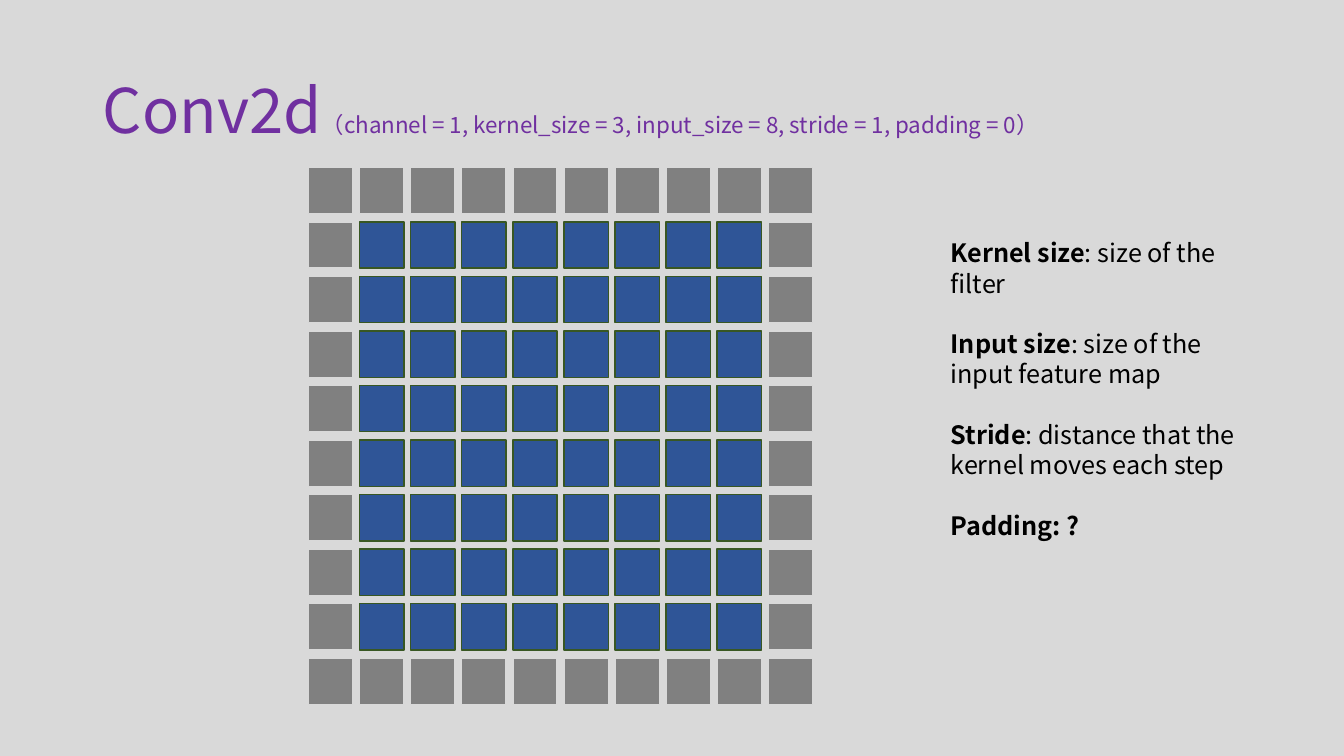
from dataclasses import dataclass
from itertools import product

from pptx import Presentation
from pptx.dml.color import RGBColor
from pptx.enum.shapes import MSO_SHAPE as Shape
from pptx.enum.text import MSO_ANCHOR as Anchor, MSO_AUTO_SIZE as AutoSize, PP_ALIGN as Align
from pptx.util import Inches, Pt


@dataclass(frozen=True)
class Theme:
    font: str = "Noto Sans CJK SC"
    background: str = "D9D9D9"
    title: str = "7030A0"
    body: str = "000000"
    input_fill: str = "2F5597"
    input_line: str = "385723"
    padding_fill: str = "808080"
    title_size: int = 44
    subtitle_size: int = 16
    body_size: int = 18
    term_gap: float = 21.6


THEME = Theme()
INPUT_SIZE = 8
TERMS = [
    ("Kernel size", ": size of the filter"),
    ("Input size", ": size of the input feature map"),
    ("Stride", ": distance that the kernel moves each step"),
    ("Padding: ?", ""),
]


def colour(code):
    return RGBColor.from_string(code)


def add_span(para, text, size, code, bold=False):
    span = para.add_run()
    span.text = text
    span.font.name = THEME.font
    span.font.size = Pt(size)
    span.font.bold = bold
    span.font.color.rgb = colour(code)


def place_title(page, left, top, width, height):
    title = page.shapes.title
    title.left, title.top = Inches(left), Inches(top)
    title.width, title.height = Inches(width), Inches(height)
    frame = title.text_frame
    frame.vertical_anchor = Anchor.MIDDLE
    para = frame.paragraphs[0]
    para.alignment = Align.LEFT
    para.line_spacing = 0.9
    add_span(para, "Conv2d", THEME.title_size, THEME.title)
    add_span(para, "（channel = 1, kernel_size = 3, input_size = 8, stride = 1, padding = 0）",
             THEME.subtitle_size, THEME.title)


def add_cell(page, left, top, width, height, fill, line):
    cell = page.shapes.add_shape(Shape.RECTANGLE, Inches(left), Inches(top),
                                 Inches(width), Inches(height))
    cell.shadow.inherit = False
    cell.fill.solid()
    cell.fill.fore_color.rgb = colour(fill)
    cell.line.color.rgb = colour(line)
    cell.line.width = Pt(1)


def add_feature_map(page, left, top, width, height):
    """Draw the input grid with a ring of padding cells around it."""
    cell_width, cell_height = 0.44, 0.46
    last = INPUT_SIZE + 1
    step_x = (width - cell_width) / last
    step_y = (height - cell_height) / last
    for row, column in product(range(last + 1), repeat=2):
        if row in (0, last) or column in (0, last):
            fill, line = THEME.padding_fill, THEME.background
        else:
            fill, line = THEME.input_fill, THEME.input_line
        add_cell(page, left + column * step_x, top + row * step_y,
                 cell_width, cell_height, fill, line)


def add_terms(page, left, top, width, height):
    box = page.shapes.add_textbox(Inches(left), Inches(top), Inches(width), Inches(height))
    frame = box.text_frame
    frame.word_wrap = True
    frame.auto_size = AutoSize.SHAPE_TO_FIT_TEXT
    for index, (term, meaning) in enumerate(TERMS):
        para = frame.add_paragraph() if index else frame.paragraphs[0]
        para.space_before = Pt(THEME.term_gap if index else 0)
        add_span(para, term, THEME.body_size, THEME.body, bold=True)
        if meaning:
            add_span(para, meaning, THEME.body_size, THEME.body)


def main():
    deck = Presentation()
    deck.slide_width, deck.slide_height = Inches(13.33), Inches(7.5)
    page = deck.slides.add_slide(deck.slide_layouts.get_by_name("Title Only"))
    page.background.fill.solid()
    page.background.fill.fore_color.rgb = colour(THEME.background)
    place_title(page, 0.92, 0.4, 11.5, 1.45)
    add_feature_map(page, 3.06, 1.66, 5, 5.33)
    add_terms(page, 9.33, 2.31, 3.31, 2.83)
    deck.save("out.pptx")


if __name__ == "__main__":
    main()
